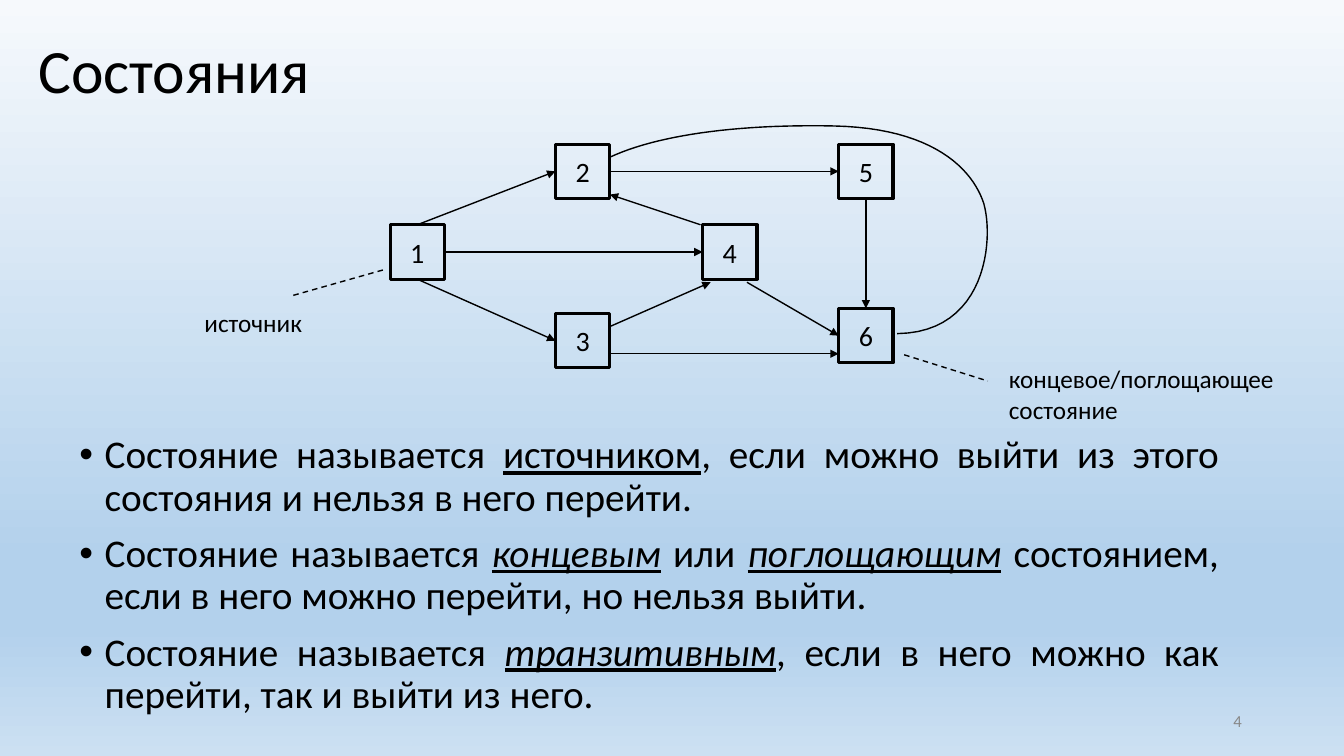
from lxml import etree
from pptx import Presentation
from pptx.dml.color import RGBColor
from pptx.enum.dml import MSO_LINE
from pptx.enum.shapes import MSO_CONNECTOR, MSO_SHAPE
from pptx.enum.text import MSO_ANCHOR, MSO_AUTO_SIZE, PP_ALIGN
from pptx.oxml.ns import qn
from pptx.util import Inches, Pt

STRAIGHT = MSO_CONNECTOR.STRAIGHT
RECTANGLE = MSO_SHAPE.RECTANGLE
DASH = MSO_LINE.DASH
TOP_ANCHOR, MIDDLE = MSO_ANCHOR.TOP, MSO_ANCHOR.MIDDLE
NO_FIT = MSO_AUTO_SIZE.NONE
LEFT_ALIGN, CENTER, RIGHT_ALIGN, JUSTIFY = PP_ALIGN.LEFT, PP_ALIGN.CENTER, PP_ALIGN.RIGHT, PP_ALIGN.JUSTIFY
TOP, LEFT, BOTTOM, RIGHT = range(4)

COLORS = {"ink": "000000", "muted": "888888", "pale": "F6F9FC", "sky": "B3D1EC", "mist": "CCE0F2"}
BACKGROUND = [(0, "pale"), (74, "sky"), (83, "sky"), (100, "mist")]
UNDERLINED = {"underline": True}
TERM = {"underline": True, "italic": True}

NODE_SIZE = 1.62
NODES = {
    "1": (11.61, 6.69),
    "2": (16.53, 4.29),
    "3": (16.53, 9.33),
    "4": (20.91, 6.69),
    "5": (24.96, 4.29),
    "6": (24.96, 9.18),
}
ARROWS = [
    (("1", TOP), ("2", LEFT)),
    (("1", RIGHT), ("4", LEFT)),
    (("1", BOTTOM), ("3", LEFT)),
    (("2", RIGHT), ("5", LEFT)),
    (("5", BOTTOM), ("6", TOP)),
    ((18.15, 9.72), (21.15, 8.4)),
    ((18.15, 10.53), (24.96, 10.53)),
    ((20.85, 6.69), (18.15, 5.79)),
    ((22.23, 8.4), ("6", LEFT)),
]
LOOP_START = (18.15, 4.68)
LOOP_CURVES = [
    ((19.5, 4.05), (21.81, 3.69), (24.81, 3.75)),
    ((27.78, 3.81), (28.95, 5.04), (29.28, 6.06)),
    ((29.58, 7.11), (29.37, 9.9), (26.7, 9.93)),
]
LABELS = [
    ("источник", (5.79, 9, 5.07, 1.2), (8.73, 8.79), (11.49, 8.01)),
    ("концевое/поглощающее состояние", (29.73, 10.68, 9.03, 2.13), (26.91, 10.56), (29.4, 11.34)),
]
DEFINITIONS = [
    [("Состояние называется ", {}), ("источником", UNDERLINED),
     (", если можно выйти из этого состояния и нельзя в него перейти.", {})],
    [("Состояние называется ", {}), ("концевым", TERM), (" или ", {}), ("поглощающим", TERM),
     (" состоянием, если в него можно перейти, но нельзя выйти.", {})],
    [("Состояние называется ", {}), ("транзитивным", TERM),
     (", если в него можно как перейти, так и выйти из него.", {})],
]


class StateSlide:
    """Draws styled elements on one slide, measured in grid columns and rows."""

    columns, rows = 40, 22.5
    font = "Calibri"
    curve_steps = 24

    def __init__(self, deck):
        self.deck = deck
        self.page = deck.slides.add_slide(deck.slide_layouts[5])
        self.nodes = {}

    def place(self, *lengths):
        units = (self.deck.slide_width / self.columns, self.deck.slide_height / self.rows)
        return [round(length * units[index % 2]) for index, length in enumerate(lengths)]

    def apply(self, target, values):
        for name, value in values.items():
            setattr(target, name, value)

    def color(self, name):
        return RGBColor.from_string(COLORS[name])

    def background(self, stops):
        fill = self.page.background.fill
        fill.gradient()
        fill.gradient_angle = 270
        stop_list = next(self.page.element.iter(qn("a:gsLst")))
        for stop in list(stop_list):
            stop_list.remove(stop)
        for share, name in stops:
            stop = etree.SubElement(stop_list, qn("a:gs"), pos=str(share * 1000))
            etree.SubElement(stop, qn("a:srgbClr"), val=COLORS[name])

    def paragraph(self, box, spans, size, align=LEFT_ALIGN, anchor=TOP_ANCHOR, color="ink", new=False, **spacing):
        frame = box.text_frame
        self.apply(frame, {"word_wrap": True, "auto_size": NO_FIT, "vertical_anchor": anchor})
        para = frame.add_paragraph() if new else frame.paragraphs[0]
        self.apply(para, {"alignment": align, **spacing})
        for text, style in spans:
            span = para.add_run()
            span.text = text
            self.apply(span.font, {"name": self.font, "size": Pt(size), **style})
            span.font.color.rgb = self.color(color)
        return para

    def title(self, text, area):
        box = self.page.shapes.title
        self.apply(box, dict(zip(("left", "top", "width", "height"), self.place(*area))))
        self.paragraph(box, [(text, {})], 44, anchor=MIDDLE, line_spacing=0.9)

    def text(self, text, area, size, **style):
        box = self.page.shapes.add_textbox(*self.place(*area))
        self.paragraph(box, [(text, {})], size, **style)

    def bullets(self, items, area, size):
        box = self.page.shapes.add_textbox(*self.place(*area))
        for index, spans in enumerate(items):
            para = self.paragraph(box, spans, size, JUSTIFY, new=index > 0,
                                  line_spacing=0.9, space_before=Pt(10 if index else 0))
            properties = para._p.get_or_add_pPr()
            indent = Inches(0.25)
            properties.set("marL", str(indent))
            properties.set("indent", str(-indent))
            etree.SubElement(properties, qn("a:buFont"), typeface="Arial")
            etree.SubElement(properties, qn("a:buChar"), char="•")

    def outline(self, shape, width):
        shape.line.color.rgb = self.color("ink")
        shape.line.width = Pt(width)

    def node(self, name, corner):
        box = self.page.shapes.add_shape(RECTANGLE, *self.place(*corner, NODE_SIZE, NODE_SIZE))
        box.shadow.inherit = False
        box.fill.background()
        self.outline(box, 2.25)
        self.paragraph(box, [(name, {})], 20, CENTER, MIDDLE)
        self.nodes[name] = box

    def link(self, start, end, arrow=True):
        line = self.page.shapes.add_connector(STRAIGHT, 0, 0, 0, 0)
        for point, prefix, join in ((start, "begin", line.begin_connect), (end, "end", line.end_connect)):
            if point[0] in self.nodes:
                join(self.nodes[point[0]], point[1])
            else:
                self.apply(line, dict(zip((prefix + "_x", prefix + "_y"), self.place(*point))))
        self.outline(line, 1)
        if arrow:
            etree.SubElement(line.line._get_or_add_ln(), qn("a:tailEnd"), type="triangle")
        else:
            line.line.dash_style = DASH
        etree.SubElement(line._element.spPr, qn("a:effectLst"))

    def curve(self, start, curves):
        builder = self.page.shapes.build_freeform(*self.place(*start))
        points = []
        for first, second, end in curves:
            for step in range(1, self.curve_steps + 1):
                t = step / self.curve_steps
                weights = ((1 - t) ** 3, 3 * t * (1 - t) ** 2, 3 * t ** 2 * (1 - t), t ** 3)
                corners = (start, first, second, end)
                points.append(self.place(*(
                    sum(weight * corner[axis] for weight, corner in zip(weights, corners))
                    for axis in range(2))))
            start = end
        builder.add_line_segments(points, close=False)
        shape = builder.convert_to_shape()
        shape.shadow.inherit = False
        shape.fill.background()
        self.outline(shape, 1)


def main():
    deck = Presentation()
    deck.slide_width, deck.slide_height = Inches(13.33), Inches(7.5)
    slide = StateSlide(deck)
    slide.background(BACKGROUND)
    slide.title("Состояния", (0.84, 0, 38.34, 4.35))
    slide.bullets(DEFINITIONS, (2.07, 12.8, 34.5, 8.83), 28)
    for name, corner in NODES.items():
        slide.node(name, corner)
    for start, end in ARROWS:
        slide.link(start, end)
    slide.curve(LOOP_START, LOOP_CURVES)
    for text, area, start, end in LABELS:
        slide.link(start, end, arrow=False)
        slide.text(text, area, 18)
    slide.text("4", (28.26, 20.85, 9, 1.2), 12, align=RIGHT_ALIGN, anchor=MIDDLE, color="muted")
    deck.save("out.pptx")


if __name__ == "__main__":
    main()
